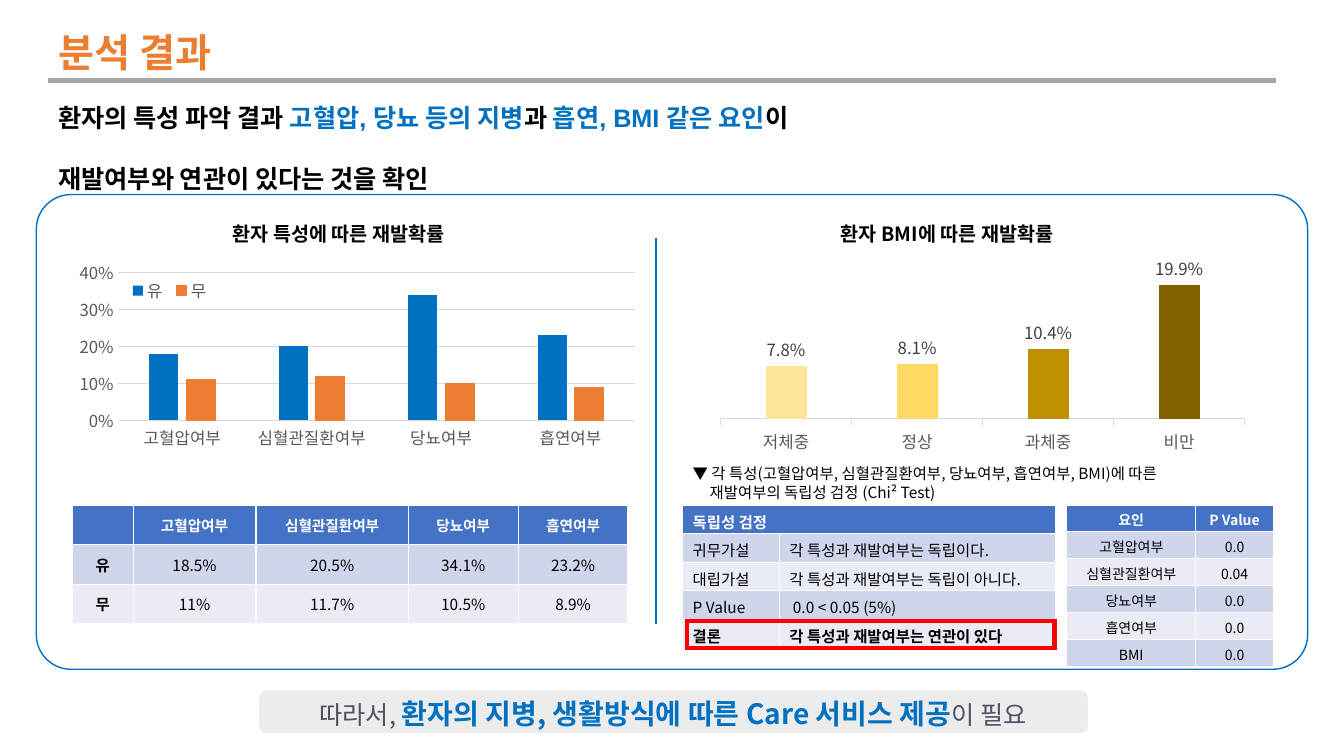
from collections import namedtuple

from pptx import Presentation
from pptx.chart.data import CategoryChartData
from pptx.dml.color import RGBColor
from pptx.enum.chart import XL_CHART_TYPE as ChartType, XL_LABEL_POSITION as LabelPosition
from pptx.enum.chart import XL_LEGEND_POSITION as LegendPosition, XL_TICK_MARK as TickMark
from pptx.enum.chart import XL_TICK_LABEL_POSITION as TickLabels
from pptx.enum.shapes import MSO_CONNECTOR as Connector, MSO_SHAPE as Shape
from pptx.enum.text import MSO_ANCHOR as Anchor, PP_ALIGN as Align
from pptx.oxml.ns import qn
from pptx.oxml.xmlchemy import OxmlElement
from pptx.util import Inches, Pt

BLUE = RGBColor(0x00, 0x70, 0xC0)
ORANGE = RGBColor(0xED, 0x7D, 0x31)
HEADER = RGBColor(0x44, 0x72, 0xC4)
BANDS = [RGBColor(0xCF, 0xD5, 0xEA), RGBColor(0xE9, 0xEB, 0xF5)]
BMI_COLORS = [RGBColor(0xFF, 0xE6, 0x99), RGBColor(0xFF, 0xD9, 0x66),
              RGBColor(0xBF, 0x90, 0x00), RGBColor(0x80, 0x60, 0x00)]
BLACK = RGBColor(0x00, 0x00, 0x00)
WHITE = RGBColor(0xFF, 0xFF, 0xFF)
RED = RGBColor(0xFF, 0x00, 0x00)
RULE_GRAY = RGBColor(0xA5, 0xA5, 0xA5)
GRID_GRAY = RGBColor(0xD9, 0xD9, 0xD9)
AXIS_GRAY = RGBColor(0x59, 0x59, 0x59)
LABEL_GRAY = RGBColor(0x40, 0x40, 0x40)
SLATE = RGBColor(0x50, 0x52, 0x67)
BAR_TINT = RGBColor(0x18, 0x17, 0x17)
KOREAN = "Noto Sans CJK KR"

TRAITS = ["고혈압여부", "심혈관질환여부", "당뇨여부", "흡연여부"]
RECURRENCE = {"유": [0.18, 0.2, 0.34, 0.23], "무": [0.11, 0.12, 0.1, 0.09]}
RECURRENCE_ROWS = [["", *TRAITS], ["유", "18.5%", "20.5%", "34.1%", "23.2%"],
                   ["무", "11%", "11.7%", "10.5%", "8.9%"]]
BMI_RECURRENCE = {"저체중": 0.078, "정상": 0.081, "과체중": 0.104, "비만": 0.199}
P_VALUES = ["0.0", "0.04", "0.0", "0.0", "0.0"]

Box = namedtuple("Box", "left top width height")


def inside(box, left, top, width, height):
    """Return the lengths of an area offset from the corner of a box."""
    return [Inches(n) for n in (box.left + left, box.top + top, width, height)]


def style(paragraph, size, color=None, bold=False, name=KOREAN, align=Align.LEFT):
    """Format one paragraph, with an East Asian font for the Hangul."""
    paragraph.alignment = align
    font = paragraph.font
    font.size, font.bold, font.name = Pt(size), bold, name
    if color is not None:
        font.color.rgb = color
    hangul = OxmlElement("a:ea")
    hangul.set("typeface", KOREAN)
    paragraph._p.pPr.find(qn("a:defRPr")).append(hangul)


def add_text(slide, area, lines, size, bold=False, wrap=True):
    """Add a black text box with one paragraph per line."""
    frame = slide.shapes.add_textbox(*area).text_frame
    frame.word_wrap = wrap
    frame.text = "\n".join(lines)
    for paragraph in frame.paragraphs:
        style(paragraph, size, BLACK, bold)
    return frame


def add_line(slide, start, end, color, width):
    """Draw a straight line without shadow."""
    line = slide.shapes.add_connector(Connector.STRAIGHT, *map(Inches, start + end))
    line.line.color.rgb = color
    line.line.width = Pt(width)
    line._element.spPr.append(OxmlElement("a:effectLst"))


def add_outline(slide, kind, area, color, width):
    """Add an unfilled outlined shape with sharp corners."""
    outline = slide.shapes.add_shape(kind, *area)
    outline.shadow.inherit = False
    outline.fill.background()
    outline.line.color.rgb = color
    outline.line.width = Pt(width)
    miter = OxmlElement("a:miter")
    miter.set("lim", "800000")
    outline._element.spPr.find(qn("a:ln")).append(miter)
    return outline


def add_table(slide, area, rows, widths, sizes, margins, align=Align.CENTER, anchor=Anchor.MIDDLE):
    """Add a banded table; sizes and margins are (header, body) and (top, bottom)."""
    table = slide.shapes.add_table(len(rows), len(widths), *area).table
    for column, width in zip(table.columns, widths):
        column.width = Inches(width)
    for r, row in enumerate(rows):
        for c, text in enumerate(row):
            cell = table.cell(r, c)
            cell.fill.solid()
            cell.fill.fore_color.rgb = BANDS[(r - 1) % 2] if r else HEADER
            cell.margin_top, cell.margin_bottom = map(Inches, margins)
            cell.vertical_anchor = anchor
            cell.text = text
            style(cell.text_frame.paragraphs[0], sizes[min(r, 1)],
                  BLACK if r else WHITE, r == 0, align=align)
    return table


def set_layout(parent, index, fractions, inner=False):
    """Place a chart part by fractions of the chart area."""
    for old in parent.findall(qn("c:layout")):
        parent.remove(old)
    layout, manual = OxmlElement("c:layout"), OxmlElement("c:manualLayout")
    settings = [("layoutTarget", "inner")] if inner else []
    settings += [("xMode", "edge"), ("yMode", "edge"), *zip("xywh", map(str, fractions))]
    for tag, value in settings:
        setting = OxmlElement("c:" + tag)
        setting.set("val", value)
        manual.append(setting)
    layout.append(manual)
    parent.insert(index, layout)


def add_columns(slide, area, categories, series, maximum, plot_area):
    """Add a clustered column chart with the shared axis formatting."""
    data = CategoryChartData()
    data.categories = categories
    for name, values in series.items():
        data.add_series(name, values)
    chart = slide.shapes.add_chart(ChartType.COLUMN_CLUSTERED, *area, data).chart
    chart.has_title = chart.has_legend = False
    chart.font.name, chart.font.size, chart.font.color.rgb = KOREAN, Pt(12), AXIS_GRAY
    plot = chart.plots[0]
    plot.gap_width, plot.overlap, plot.vary_by_categories = 219, -27, False
    chart.category_axis.format.line.color.rgb = GRID_GRAY
    chart.category_axis.format.line.width = Pt(0.75)
    chart.value_axis.minimum_scale, chart.value_axis.maximum_scale = 0, maximum
    set_layout(chart._chartSpace.chart.plotArea, 0, plot_area, inner=True)
    return chart


def add_heading(slide, box):
    """Fill the title, its rule and the two-line key message."""
    title = slide.shapes.title
    title.left, title.top, title.width, title.height = inside(box, 0, 0, 1.91, 0.57)
    frame = title.text_frame
    frame.text = "분석 결과"
    frame.word_wrap, frame.vertical_anchor = False, Anchor.TOP
    style(frame.paragraphs[0], 28, ORANGE, True)
    rule = box.top + 0.57
    add_line(slide, (box.left, rule), (box.left + box.width, rule), RULE_GRAY, 3)

    message = slide.shapes.add_textbox(*inside(box, 0, 0.59, box.width, 1.06)).text_frame
    message.word_wrap = True
    lines = [(1.5, [("환자의 특성 파악 결과 ", BLACK), ("고혈압, 당뇨 등의 지병", BLUE), ("과 ", BLACK),
                    ("흡연, BMI 같은 요인", BLUE), ("이", BLACK)]),
             (2.0, [("재발여부와 연관이 있다는 것을 확인", BLACK)])]
    for i, (spacing, parts) in enumerate(lines):
        paragraph = message.add_paragraph() if i else message.paragraphs[0]
        paragraph.line_spacing = spacing
        style(paragraph, 18, bold=True, name="Arial")
        for text, color in parts:
            run = paragraph.add_run()
            run.text = text
            run.font.color.rgb = color


def add_trait_half(slide, box):
    """Show recurrence by patient trait as a chart and a table."""
    add_text(slide, inside(box, 1.83, 0.22, 2.57, 0.34), ["환자 특성에 따른 재발확률"], 14, True, False)
    chart = add_columns(slide, inside(box, 0, 0.65, 6.06, 2.17), TRAITS, RECURRENCE, 0.4,
                        (0.13, 0.044, 0.847, 0.686))
    for series, color in zip(chart.plots[0].series, (BLUE, ORANGE)):
        series.format.fill.solid()
        series.format.fill.fore_color.rgb = color
    series.format.line.color.rgb = ORANGE
    series.format.line.width = Pt(0.75)
    chart.category_axis.major_tick_mark = TickMark.NONE
    scale = chart.value_axis
    scale.major_unit, scale.major_tick_mark = 0.1, TickMark.NONE
    scale.tick_labels.number_format, scale.tick_labels.number_format_is_linked = "0%", False
    scale.format.line.fill.background()
    scale.major_gridlines.format.line.color.rgb = GRID_GRAY
    scale.major_gridlines.format.line.width = Pt(0.75)
    chart.has_legend = True
    chart.legend.position = LegendPosition.BOTTOM
    chart.legend.include_in_layout = False
    set_layout(chart.legend._element, 1, (0.14, 0.07, 0.15, 0.11))

    table = add_table(slide, inside(box, 0.34, 3.08, 5.51, 1.18), RECURRENCE_ROWS,
                      [0.6, 1.22, 1.51, 1.09, 1.09], (10.5, 11), (0.03, 0.03))
    for r in (1, 2):
        name_font = table.cell(r, 0).text_frame.paragraphs[0].font
        name_font.bold, name_font.name = True, "Arial"


def add_bmi_half(slide, box):
    """Show recurrence by BMI and the independence test tables."""
    add_text(slide, inside(box, 2.09, 0.22, 2.55, 0.34), ["환자 BMI에 따른 재발확률"], 14, True, False)
    chart = add_columns(slide, inside(box, 0, 0.39, 6.2, 2.25), list(BMI_RECURRENCE),
                        {"재발확률": list(BMI_RECURRENCE.values())}, 0.25,
                        (0.161, 0.073, 0.839, 0.742))
    chart.value_axis.visible = chart.value_axis.has_major_gridlines = False
    chart.value_axis.tick_label_position = TickLabels.NONE
    chart.category_axis.major_tick_mark = TickMark.OUTSIDE
    plot = chart.plots[0]
    for i, color in enumerate(BMI_COLORS):
        fill = plot.series[0].points[i].format.fill
        fill.solid()
        fill.fore_color.rgb = color
    plot.has_data_labels = True
    labels = plot.data_labels
    labels.show_value, labels.position = True, LabelPosition.OUTSIDE_END
    labels.number_format, labels.number_format_is_linked = "0.0%", False
    labels.font.name, labels.font.size, labels.font.color.rgb = KOREAN, Pt(12), LABEL_GRAY

    note = add_text(slide, inside(box, 0.62, 2.63, 5.38, 0.47),
                    ["▼ 각 특성(고혈압여부, 심혈관질환여부, 당뇨여부, 흡연여부, BMI)에 따른",
                     "재발여부의 독립성 검정 (Chi² Test)"], 11)
    note.paragraphs[1]._p.pPr.set("marL", str(Inches(0.17)))
    hypotheses = [["독립성 검정", ""], ["귀무가설", "각 특성과 재발여부는 독립이다."],
                  ["대립가설", "각 특성과 재발여부는 독립이 아니다."],
                  ["P Value", " 0.0 < 0.05 (5%)"], ["결론", "각 특성과 재발여부는 연관이 있다"]]
    test = add_table(slide, inside(box, 0.62, 3.08, 3.7, 1.42), hypotheses, [0.96, 2.74],
                     (11, 11), (0.05, 0), Align.LEFT, Anchor.TOP)
    test.cell(0, 0).merge(test.cell(0, 1))
    for c in (0, 1):
        test.cell(4, c).text_frame.paragraphs[0].font.bold = True
    factors = [["요인", "P Value"], *zip([*TRAITS, "BMI"], P_VALUES)]
    add_table(slide, inside(box, 4.43, 3.08, 2.05, 1.6), factors, [1.28, 0.77], (10, 10), (0.04, 0.01))
    add_outline(slide, Shape.RECTANGLE, inside(box, 0.66, 4.23, 3.65, 0.27), RED, 3)


def add_conclusion(slide, box):
    """Add the closing statement on its translucent bar."""
    group = slide.shapes.add_group_shape()
    bar = group.shapes.add_shape(Shape.ROUNDED_RECTANGLE, *inside(box, 0, 0.12, box.width, 0.42))
    bar.fill.solid()
    bar.fill.fore_color.rgb = BAR_TINT
    alpha = OxmlElement("a:alpha")
    alpha.set("val", "8000")
    bar._element.spPr.find(".//" + qn("a:srgbClr")).append(alpha)
    statement = group.shapes.add_shape(Shape.ROUNDED_RECTANGLE, *inside(box, 0.07, 0, 8.07, box.height))
    statement.adjustments[0] = 0.073
    statement.fill.background()
    for part in (bar, statement):
        part.shadow.inherit = False
        part.line.fill.background()
    frame = statement.text_frame
    frame.word_wrap, frame.vertical_anchor = True, Anchor.MIDDLE
    paragraph = frame.paragraphs[0]
    style(paragraph, 18, align=Align.CENTER)
    for text, size, color, bold in [("따라서, ", 18, SLATE, False),
                                    ("환자의 지병, 생활방식에 따른 Care 서비스 제공", 20, BLUE, True),
                                    ("이 필요", 18, SLATE, False)]:
        run = paragraph.add_run()
        run.text = text
        run.font.size, run.font.bold, run.font.color.rgb = Pt(size), bold, color


def main():
    """Build the analysis result slide."""
    deck = Presentation()
    deck.slide_width, deck.slide_height = Inches(13.33), Inches(7.5)
    slide = deck.slides.add_slide(deck.slide_layouts[5])
    panel = Box(0.36, 1.93, 12.61, 4.71)
    frame = add_outline(slide, Shape.ROUNDED_RECTANGLE, inside(panel, 0, 0, 12.61, 4.71), BLUE, 1)
    frame.adjustments[0] = 0.073
    add_heading(slide, Box(0.48, 0.23, 12.18, 1.65))
    add_trait_half(slide, Box(0.38, panel.top, 6.06, panel.height))
    add_bmi_half(slide, Box(6.15, panel.top, 6.82, panel.height))
    add_line(slide, (6.51, 2.36), (6.51, 6.19), BLUE, 1.5)
    add_conclusion(slide, Box(2.57, 6.73, 8.22, 0.7))
    deck.save("out.pptx")


if __name__ == "__main__":
    main()
